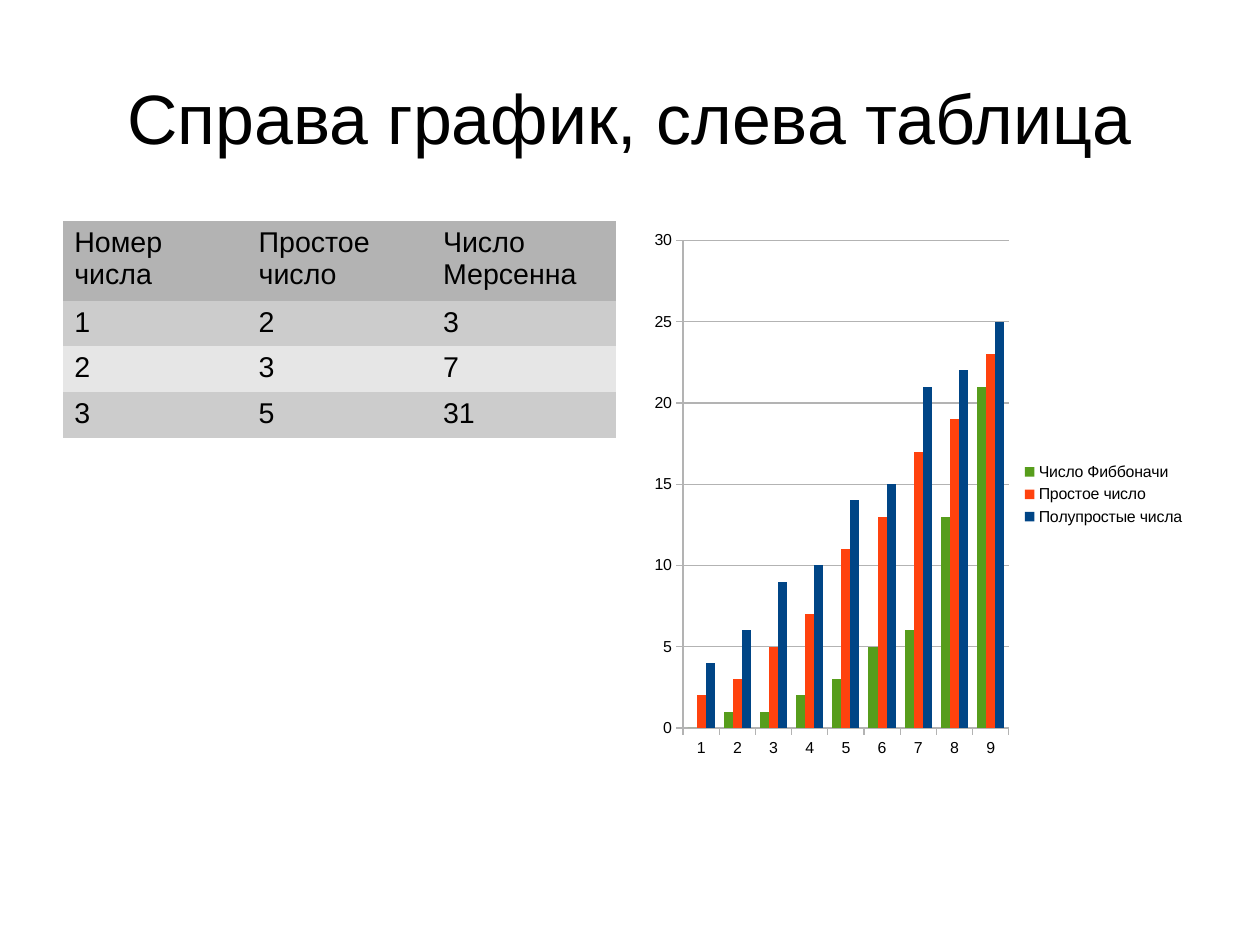
from pptx import Presentation
from pptx.chart.data import CategoryChartData
from pptx.dml.color import RGBColor
from pptx.enum.chart import XL_CHART_TYPE as ChartType, XL_LEGEND_POSITION as LegendPosition, XL_TICK_MARK as TickMark
from pptx.enum.text import MSO_ANCHOR as Anchor, MSO_AUTO_SIZE as AutoSize, PP_ALIGN as Align
from pptx.oxml.ns import qn
from pptx.util import Inches, Pt

COLORS = {
    "text": "000000",
    "header": "B3B3B3",
    "odd_row": "CCCCCC",
    "even_row": "E6E6E6",
    "line": "B3B3B3",
    "fibonacci": "579D1C",
    "prime": "FF420E",
    "semiprime": "004586",
}
CM_PER_INCH = 2.54
LEFT, TOP, COLUMN_WIDTH = 0.55, 1.93, 4.84
NO_STYLE = "{2D5ABB26-0587-4C30-8999-92F81FD0307C}"


def color(name):
    return RGBColor.from_string(COLORS[name])


def format_font(font, size):
    for name, value in {"size": Pt(size), "name": "Arial", "bold": False}.items():
        setattr(font, name, value)
    font.color.rgb = color("text")


presentation = Presentation()
presentation.slide_width = Inches(28 / CM_PER_INCH)
presentation.slide_height = Inches(21 / CM_PER_INCH)
presentation.element.find(qn("p:sldSz")).attrib.pop("type", None)
slide = presentation.slides.add_slide(presentation.slide_layouts[5])

title = slide.shapes.title
title_box = {"left": LEFT, "top": 0.33, "width": 9.92, "height": 1.38}
for name, value in title_box.items():
    setattr(title, name, Inches(value))
title_frame = title.text_frame
title_frame.text = "Справа график, слева таблица"
title_format = {
    "margin_left": 0, "margin_right": 0, "margin_top": 0, "margin_bottom": 0,
    "vertical_anchor": Anchor.MIDDLE, "word_wrap": True, "auto_size": AutoSize.NONE,
}
for name, value in title_format.items():
    setattr(title_frame, name, value)
title_paragraph = title_frame.paragraphs[0]
title_paragraph.alignment = Align.CENTER
format_font(title_paragraph.runs[0].font, 44)

rows = [
    ("Номер числа", "Простое число", "Число Мерсенна"),
    ("1", "2", "3"),
    ("2", "3", "7"),
    ("3", "5", "31"),
]
row_fills = ["header", "odd_row", "even_row", "odd_row"]
row_heights = [0.7, 0.4, 0.4, 0.4]
table_shape = slide.shapes.add_table(
    len(rows), len(rows[0]), Inches(LEFT), Inches(TOP), Inches(COLUMN_WIDTH), Inches(sum(row_heights))
)
table = table_shape.table
table.first_row = False
table.horz_banding = False
next(table_shape.element.iter(qn("a:tableStyleId"))).text = NO_STYLE
for row_index, (texts, fill, height) in enumerate(zip(rows, row_fills, row_heights)):
    table.rows[row_index].height = Inches(height)
    for column_index, text in enumerate(texts):
        cell = table.cell(row_index, column_index)
        cell.text = text
        cell.fill.solid()
        cell.fill.fore_color.rgb = color(fill)
        format_font(cell.text_frame.paragraphs[0].runs[0].font, 18)

series_rows = [
    ("Число Фиббоначи", "fibonacci", (0, 1, 1, 2, 3, 5, 6, 13, 21)),
    ("Простое число", "prime", (2, 3, 5, 7, 11, 13, 17, 19, 23)),
    ("Полупростые числа", "semiprime", (4, 6, 9, 10, 14, 15, 21, 22, 25)),
]
chart_data = CategoryChartData()
chart_data.categories = [str(number) for number in range(1, 10)]
for name, _, values in series_rows:
    chart_data.add_series(name, values)
chart = slide.shapes.add_chart(
    ChartType.COLUMN_CLUSTERED, Inches(5.63), Inches(TOP), Inches(COLUMN_WIDTH), Inches(4.79), chart_data
).chart
chart.has_title = False
chart.has_legend = True
chart.legend.position = LegendPosition.RIGHT
chart.legend.include_in_layout = False
for font in (chart.font, chart.legend.font):
    format_font(font, 10)

plot = chart.plots[0]
for name, value in {"gap_width": 100, "overlap": 0, "vary_by_categories": False}.items():
    setattr(plot, name, value)
for series, (_, fill, _) in zip(plot.series, series_rows):
    series.format.fill.solid()
    series.format.fill.fore_color.rgb = color(fill)

value_axis = chart.value_axis
value_scale = {"minimum_scale": 0, "maximum_scale": 30, "major_unit": 5, "has_major_gridlines": True}
for name, value in value_scale.items():
    setattr(value_axis, name, value)
for axis in (chart.category_axis, value_axis):
    axis.major_tick_mark = TickMark.OUTSIDE
    axis.minor_tick_mark = TickMark.NONE
    format_font(axis.tick_labels.font, 10)
for line in (chart.category_axis.format.line, value_axis.format.line, value_axis.major_gridlines.format.line):
    line.color.rgb = color("line")
    line.width = Pt(0)

presentation.save("out.pptx")
